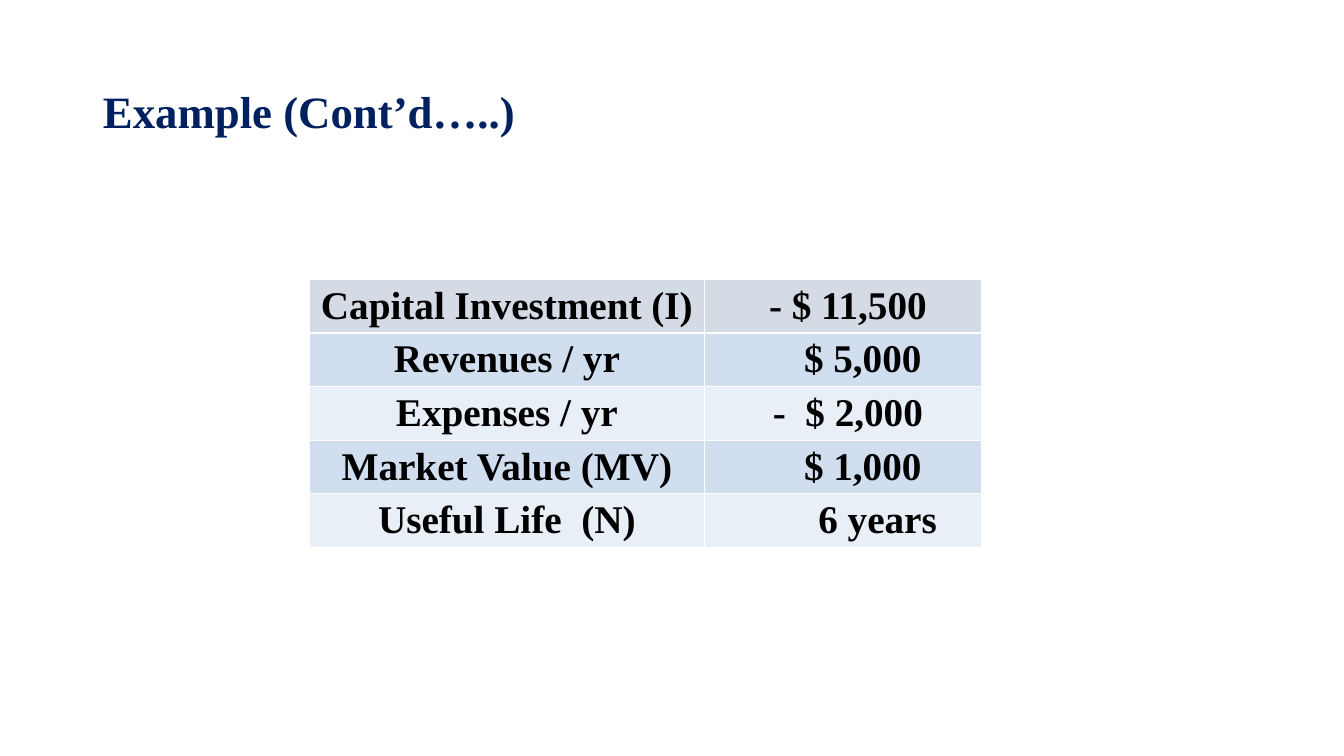
from pptx import Presentation
from pptx import util as u
from pptx.dml.color import RGBColor
from pptx.enum import text

FONT = "Times New Roman"
HUES = {"title": "002060", "ink": "000000", "head": "D5DBE5",
        "odd": "D0DEEF", "even": "E9EFF7"}
SPACE = 0.25  # width in cm of one space at the table's text size

# label, value, and the value's indent in spaces
ROWS = [
    ("Capital Investment (I)", "- $ 11,500", 1),
    ("Revenues / yr", "$ 5,000", 4),
    ("Expenses / yr", "-  $ 2,000", 1),
    ("Market Value (MV)", "$ 1,000", 4),
    ("Useful Life  (N)", "6 years", 7),
]


def style(para, size, hue, align):
    para.alignment = align
    for run in para.runs:
        run.font.name = FONT
        run.font.size = u.Pt(size)
        run.font.bold = True
        run.font.color.rgb = RGBColor.from_string(HUES[hue])


def add_title(slide, left, top, width, height):
    title = slide.shapes.title
    title.left, title.top = u.Cm(left), u.Cm(top)
    title.width, title.height = u.Cm(width), u.Cm(height)
    frame = title.text_frame
    frame.text = "Example (Cont’d…..)"
    frame.vertical_anchor = text.MSO_ANCHOR.MIDDLE
    para = frame.paragraphs[0]
    para.line_spacing = 0.9
    style(para, 32, "title", text.PP_ALIGN.LEFT)


def fill_cell(cell, words, hue, indent=0):
    cell.text_frame.text = words
    cell.margin_left = u.Cm(0.25 + indent * SPACE)
    cell.fill.solid()
    cell.fill.fore_color.rgb = RGBColor.from_string(HUES[hue])
    style(cell.text_frame.paragraphs[0], 28, "ink", text.PP_ALIGN.CENTER)


def add_costs(slide, left, top, width, height):
    table = slide.shapes.add_table(
        len(ROWS), 2, u.Cm(left), u.Cm(top), u.Cm(width), u.Cm(height)).table
    first = 9.95
    table.columns[0].width = u.Cm(first)
    table.columns[1].width = u.Cm(width - first)
    for i, (label, value, indent) in enumerate(ROWS):
        hue = "head" if i == 0 else "odd" if i % 2 else "even"
        fill_cell(table.cell(i, 0), label, hue)
        fill_cell(table.cell(i, 1), value, hue, indent)


def main():
    deck = Presentation()
    deck.slide_width, deck.slide_height = u.Cm(33.87), u.Cm(19.05)
    slide = deck.slides.add_slide(deck.slide_layouts.get_by_name("Title Only"))
    add_title(slide, 2.34, 1.02, 29.21, 3.68)
    add_costs(slide, 7.8, 7.04, 16.94, 6.75)
    deck.save("out.pptx")


if __name__ == "__main__":
    main()
